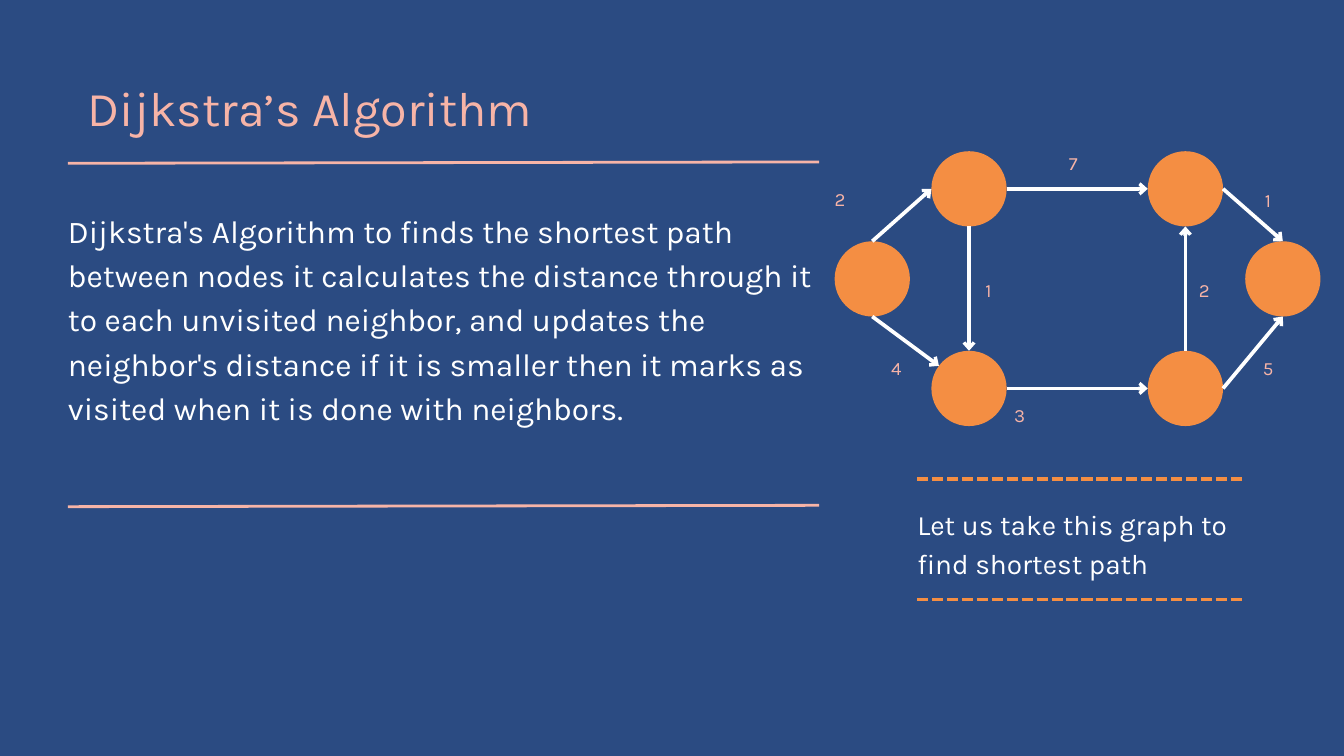
from lxml import etree
from pptx import Presentation
from pptx.dml.color import RGBColor
from pptx.enum import dml, shapes, text
from pptx.oxml.ns import qn
from pptx.util import Inches, Pt

NAVY = RGBColor(0x2B, 0x4B, 0x82)
PINK = RGBColor(0xF7, 0xB4, 0xA7)
ORANGE = RGBColor(0xF4, 0x8E, 0x43)
WHITE = RGBColor(0xFF, 0xFF, 0xFF)
FONT = "Karla"
LEFT, CENTER = text.PP_ALIGN.LEFT, text.PP_ALIGN.CENTER
NODE = 1.12  # node diameter
R = NODE / 2

# Node centres
NODES = {
    "start": (12.98, 4.15),
    "top_left": (14.42, 2.81),
    "top_right": (17.64, 2.81),
    "bottom_left": (14.42, 5.78),
    "bottom_right": (17.64, 5.78),
    "end": (19.09, 4.15),
}
# Unit offsets from a centre to its rim
TOP, BOTTOM, WEST, EAST = (0, -1), (0, 1), (-1, 0), (1, 0)
NORTHWEST = (-0.8, -0.6)

# From node, side, to node, side, weight, weight position
EDGES = [
    ("start", TOP, "top_left", WEST, "2", (12.42, 2.74)),
    ("start", BOTTOM, "bottom_left", NORTHWEST, "4", (13.26, 5.26)),
    ("top_left", BOTTOM, "bottom_left", TOP, "1", (14.63, 4.09)),
    ("top_left", EAST, "top_right", WEST, "7", (15.89, 2.21)),
    ("bottom_left", EAST, "bottom_right", WEST, "3", (15.09, 5.96)),
    ("bottom_right", TOP, "top_right", BOTTOM, "2", (17.84, 4.09)),
    ("top_right", EAST, "end", TOP, "1", (18.79, 2.76)),
    ("bottom_right", EAST, "end", BOTTOM, "5", (18.79, 5.26)),
]


def write(sp, words, size, color, align):
    """Fill a shape with one paragraph whose line pitch is 1.4 times its size."""
    tf = sp.text_frame
    tf.word_wrap = True
    tf.auto_size = text.MSO_AUTO_SIZE.NONE
    tf.vertical_anchor = text.MSO_ANCHOR.TOP
    tf.margin_left = tf.margin_right = tf.margin_top = tf.margin_bottom = 0
    p = tf.paragraphs[0]
    p.alignment = align
    p.line_spacing = Pt(size * 1.4)
    r = p.add_run()
    r.text = words
    r.font.name = FONT
    r.font.size = Pt(size)
    r.font.color.rgb = color


def add_title(s, words, x, y, w, h):
    sp = s.shapes.title
    sp.left, sp.top, sp.width, sp.height = (Inches(v) for v in (x, y, w, h))
    write(sp, words, 52, PINK, CENTER)


def add_text(s, words, x, y, w, h, size, color=WHITE, align=LEFT):
    sp = s.shapes.add_textbox(Inches(x), Inches(y), Inches(w), Inches(h))
    write(sp, words, size, color, align)


def add_line(s, start, end, color, width, dash=None, arrow=False):
    c = s.shapes.add_connector(
        shapes.MSO_CONNECTOR.STRAIGHT, *(Inches(v) for v in (*start, *end)))
    c.line.color.rgb = color
    c.line.width = Pt(width)
    if dash:
        c.line.dash_style = dash
    sp_pr = c._element.spPr
    if arrow:
        etree.SubElement(sp_pr.find(qn("a:ln")), qn("a:tailEnd"),
                         type="arrow", w="med", len="sm")
    etree.SubElement(sp_pr, qn("a:effectLst"))


def add_node(s, x, y):
    sp = s.shapes.add_shape(shapes.MSO_SHAPE.OVAL, Inches(x - R), Inches(y - R),
                            Inches(NODE), Inches(NODE))
    sp.shadow.inherit = False
    sp.fill.solid()
    sp.fill.fore_color.rgb = ORANGE
    sp.line.fill.background()


def rim(node, side):
    x, y = NODES[node]
    return x + R * side[0], y + R * side[1]


def add_graph(s):
    for x, y in NODES.values():
        add_node(s, x, y)
    for tail, tail_side, head, head_side, weight, (x, y) in EDGES:
        add_line(s, rim(tail, tail_side), rim(head, head_side), WHITE, 4, arrow=True)
        add_text(s, weight, x, y, 0.16, 0.37, 20, PINK, CENTER)


def main():
    prs = Presentation()
    prs.slide_width, prs.slide_height = Inches(20), Inches(11.25)
    s = prs.slides.add_slide(prs.slide_layouts[5])
    s.background.fill.solid()
    s.background.fill.fore_color.rgb = NAVY

    # Title and explanation between two rules
    add_title(s, "Dijkstra’s Algorithm", 1.12, 1.02, 6.99, 0.97)
    add_text(s, "Dijkstra's Algorithm to finds the shortest path between nodes it "
             "calculates the distance through it to each unvisited neighbor, and "
             "updates the neighbor's distance if it is smaller then it marks as "
             "visited when it is done with neighbors.", 1.01, 3.05, 11.18, 3.92, 34)
    for y in (2.43, 7.54):
        add_line(s, (1.01, y), (12.19, y - 0.02), PINK, 3)

    # Weighted graph
    add_graph(s)

    # Caption between two dashed rules
    add_text(s, "Let us take this graph to find shortest path",
             13.65, 7.47, 4.88, 1.13, 30)
    for y in (7.13, 8.92):
        add_line(s, (13.65, y), (18.53, y), ORANGE, 4, dml.MSO_LINE.SQUARE_DOT)

    prs.save("out.pptx")


if __name__ == "__main__":
    main()
